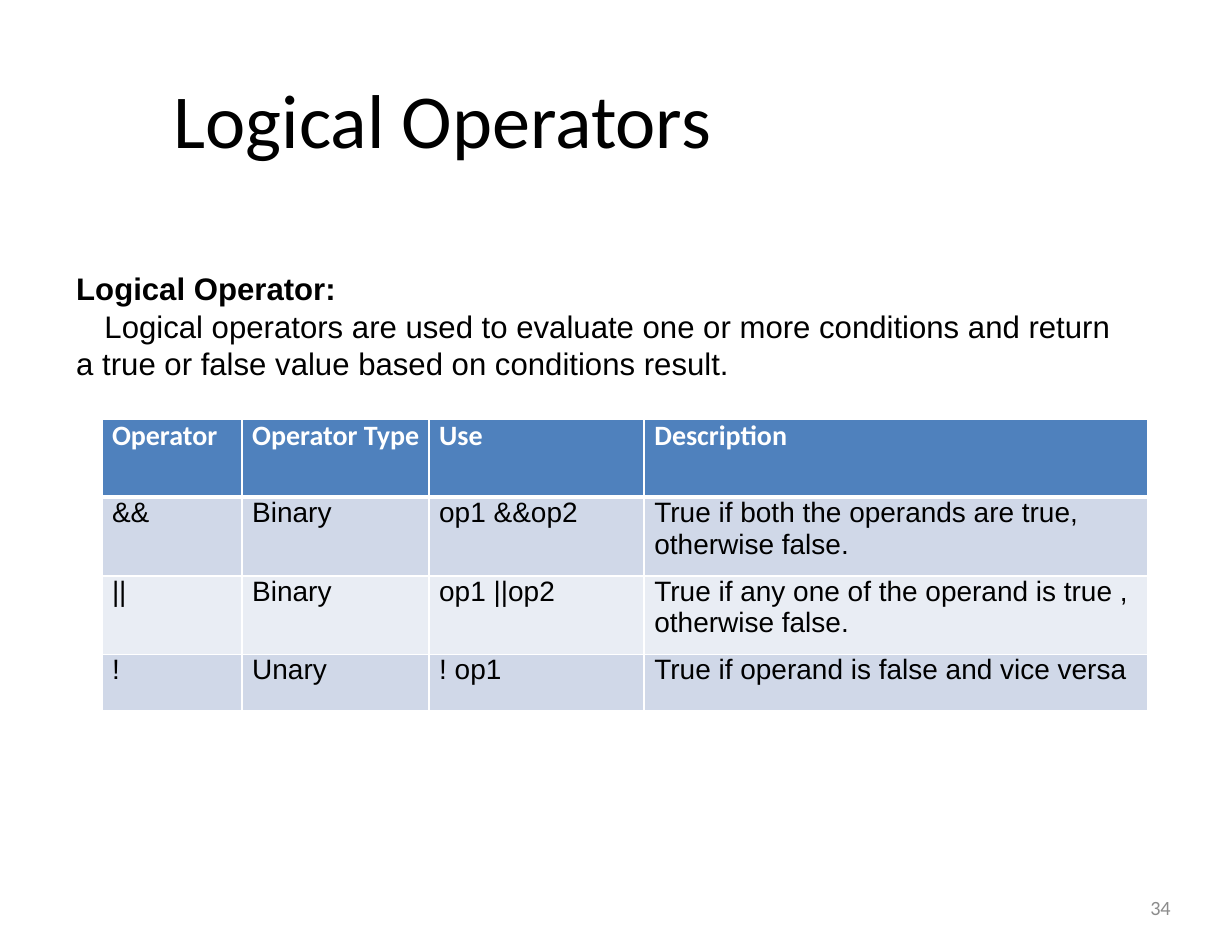
"""Build the Logical Operators slide with its explanation and operator table."""
import pptx
import pptx.dml.color
import pptx.enum.text
import pptx.oxml.ns
import pptx.util
from lxml import etree

Cm = pptx.util.Cm
ALIGN = pptx.enum.text.PP_ALIGN
ANCHOR = pptx.enum.text.MSO_ANCHOR

TITLE = "Logical Operators"
HEADING = "Logical Operator:"
EXPLANATION = ("Logical operators are used to evaluate one or more conditions "
               "and return a true or false value based on conditions result.")
PAGE = "34"
OPERATORS = [
    ("Operator", "Operator Type", "Use", "Description"),
    ("&&", "Binary", "op1 &&op2", "True if both the operands are true, otherwise false."),
    ("||", "Binary", "op1 ||op2", "True if any one of the operand is true , otherwise false."),
    ("!", "Unary", "! op1", "True if operand is false and vice versa"),
]
COLUMN_WIDTHS = (3.18, 4.24, 4.88, 11.43)
ROW_HEIGHTS = (1.78, 1.78, 1.78, 1.27)
HEADER_FILL = "4F81BD"
BAND_FILLS = ("D0D8E8", "E9EDF4")
THIN, THICK = 1.18, 3.1


def color(value):
    return pptx.dml.color.RGBColor.from_string(value)


def add_run(paragraph, text, size, font, ink="000000", bold=False):
    run = paragraph.add_run()
    run.text = text
    run.font.size = pptx.util.Pt(size)
    run.font.name = font
    run.font.bold = bold
    run.font.color.rgb = color(ink)


def add_frame(slide, left, top, width, height, anchor):
    frame = slide.shapes.add_textbox(Cm(left), Cm(top), Cm(width), Cm(height)).text_frame
    frame.word_wrap = True
    frame.vertical_anchor = anchor
    frame.margin_left = frame.margin_right = frame.margin_top = frame.margin_bottom = 0
    return frame


def set_borders(cell, widths):
    properties = cell._tc.get_or_add_tcPr()
    for position, (side, points) in enumerate(widths.items()):
        line = etree.Element(pptx.oxml.ns.qn(f"a:ln{side}"), w=str(pptx.util.Pt(points)))
        solid = etree.SubElement(line, pptx.oxml.ns.qn("a:solidFill"))
        etree.SubElement(solid, pptx.oxml.ns.qn("a:srgbClr"), val="FFFFFF")
        properties.insert(position, line)


def add_operator_table(slide):
    table = slide.shapes.add_table(
        len(OPERATORS), len(COLUMN_WIDTHS), Cm(2.31), Cm(9.5),
        Cm(sum(COLUMN_WIDTHS)), Cm(sum(ROW_HEIGHTS))).table
    for column, width in zip(table.columns, COLUMN_WIDTHS):
        column.width = Cm(width)
    for r, (entries, height) in enumerate(zip(OPERATORS, ROW_HEIGHTS)):
        table.rows[r].height = Cm(height)
        header = r == 0
        for c, entry in enumerate(entries):
            cell = table.cell(r, c)
            cell.margin_left = Cm(0.23)
            cell.margin_right = cell.margin_top = cell.margin_bottom = 0
            cell.fill.solid()
            cell.fill.fore_color.rgb = color(HEADER_FILL if header else BAND_FILLS[(r - 1) % 2])
            set_borders(cell, {"L": THIN, "R": THIN,
                               "T": THICK if r == 1 else THIN,
                               "B": THICK if header else THIN})
            add_run(cell.text_frame.paragraphs[0], entry, 18,
                    "Calibri" if header else "Arial",
                    "FFFFFF" if header else "000000", header)


def main():
    deck = pptx.Presentation()
    deck.slide_width, deck.slide_height = Cm(27.94), Cm(21.59)
    slide = deck.slides.add_slide(deck.slide_layouts[6])

    title = add_frame(slide, 1.4, 1.63, 25.15, 2.08, ANCHOR.MIDDLE)
    title.margin_left = Cm(2.54)
    add_run(title.paragraphs[0], TITLE, 49, "Calibri")

    page = add_frame(slide, 20.02, 20.02, 6.53, 1.14, ANCHOR.MIDDLE)
    page.paragraphs[0].alignment = ALIGN.RIGHT
    add_run(page.paragraphs[0], PAGE, 13, "Calibri", "8C8C8C")

    body = add_frame(slide, 1.7, 6.12, 24.05, 2.46, ANCHOR.TOP)
    body.margin_left = Cm(0.03)
    add_run(body.paragraphs[0], HEADING, 20, "Arial", bold=True)
    explanation = body.add_paragraph()
    explanation._p.get_or_add_pPr().set("indent", str(Cm(0.64)))
    add_run(explanation, EXPLANATION, 20, "Arial")

    add_operator_table(slide)
    deck.save("out.pptx")


if __name__ == "__main__":
    main()
